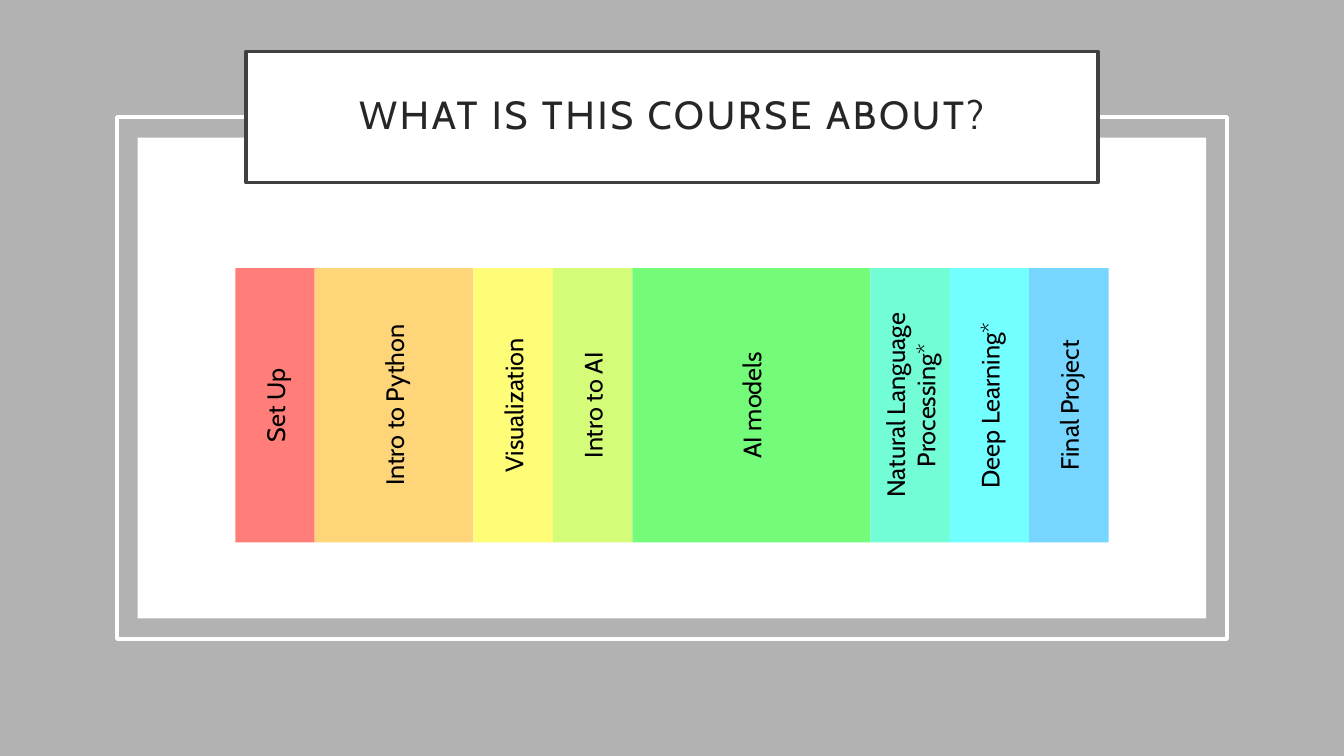
from pptx import Presentation
from pptx import util as u
from pptx.dml.color import RGBColor
from pptx.enum import shapes, text
from pptx.oxml.ns import qn

TOPICS = [
    ("Set Up", 1, "FF7E79"),
    ("Intro to Python", 2, "FFD579"),
    ("Visualization", 1, "FFFD78"),
    ("Intro to AI", 1, "D5FC79"),
    ("AI models", 3, "73FB79"),
    ("Natural Language Processing*", 1, "73FDD6"),
    ("Deep Learning*", 1, "73FEFF"),
    ("Final Project", 1, "76D6FF"),
]


def colour(code):
    return RGBColor.from_string(code)


class CourseSlide:
    font = "Cabin"
    white = "FFFFFF"

    def __init__(self, deck):
        self.width, self.height = deck.slide_width, deck.slide_height
        self.slide = deck.slides.add_slide(deck.slide_layouts[6])

    def box(self, left, top, width, height, fill=None, line=None):
        shape = self.slide.shapes.add_shape(
            shapes.MSO_SHAPE.RECTANGLE,
            round(left * self.width / 100), round(top * self.height / 100),
            round(width * self.width / 100), round(height * self.height / 100))
        shape.shadow.inherit = False
        if fill:
            shape.fill.solid()
            shape.fill.fore_color.rgb = colour(fill)
        else:
            shape.fill.background()
        if line:
            shape.line.color.rgb = colour(line)
            shape.line.width = u.Pt(2.5)
        else:
            shape.line.fill.background()
        return shape

    def centred(self, top, width, height, fill=None, line=None):
        return self.box((100 - width) / 2, top, width, height, fill, line)

    def label(self, shape, wording, size, ink):
        frame = shape.text_frame
        frame.text = wording
        frame.word_wrap = True
        frame.vertical_anchor = text.MSO_ANCHOR.MIDDLE
        paragraph = frame.paragraphs[0]
        paragraph.alignment = text.PP_ALIGN.CENTER
        font = paragraph.runs[0].font
        font.name, font.size = self.font, u.Pt(size)
        font.color.rgb = colour(ink)
        return frame

    def title(self, wording):
        banner = self.centred(6.8, 63.4, 17.33, self.white, "404040")
        frame = self.label(banner, wording, 28, "262626")
        frame.margin_left = frame.margin_right = u.Inches(0.2)
        frame.margin_top = frame.margin_bottom = u.Inches(0.2)
        heading = frame.paragraphs[0]
        heading.line_spacing = 0.9
        heading.runs[0].font._element.set("spc", "200")

    def timeline(self, topics, top, width, height):
        unit = width / sum(span for _, span, _ in topics)
        left = (100 - width) / 2
        for topic, span, fill in topics:
            block = self.box(left, top, span * unit, height, fill)
            frame = self.label(block, topic, 18, "000000")
            frame._txBody.find(qn("a:bodyPr")).set("vert", "vert270")
            left += span * unit


def main():
    deck = Presentation()
    deck.slide_width, deck.slide_height = u.Inches(13.33), u.Inches(7.5)
    course = CourseSlide(deck)
    course.box(0, 0, 100, 100, "B2B2B2")
    course.centred(18.2, 79.5, 63.6, course.white)
    course.centred(15.47, 82.6, 69.07, line=course.white)
    course.title("WHAT IS THIS COURSE ABOUT?")
    course.timeline(TOPICS, 35.47, 64.97, 36.27)
    deck.save("out.pptx")


if __name__ == "__main__":
    main()
